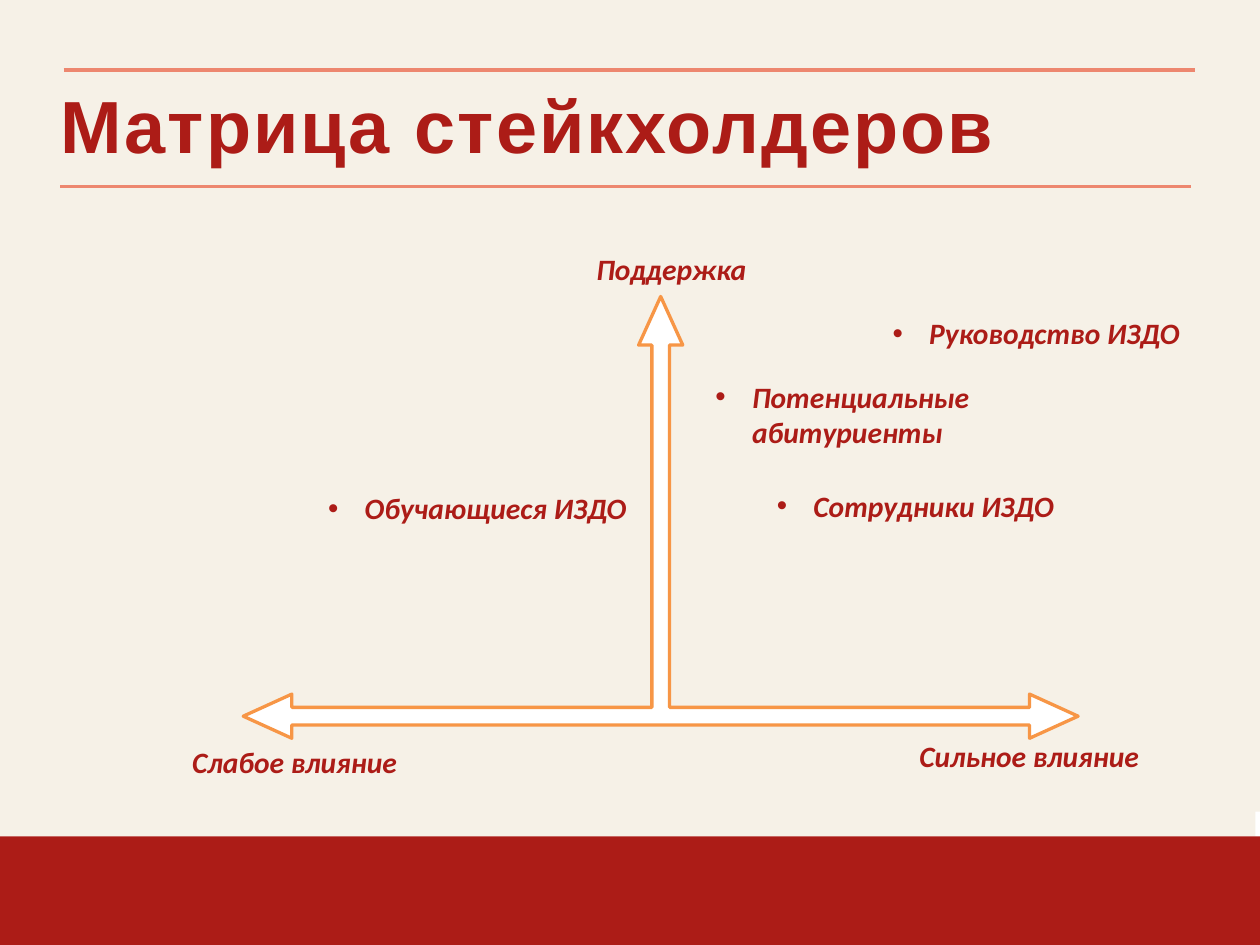
import dataclasses

import lxml.etree
import pptx
import pptx.dml.color
import pptx.enum.shapes
import pptx.enum.text
import pptx.oxml.ns
import pptx.util

INK = {"red": "AC1C17", "cream": "F6F1E7", "coral": "ED876F",
       "orange": "F79646", "white": "FFFFFF"}
WIDE, HIGH = pptx.util.Inches(10.67), pptx.util.Inches(8)
BODY = {"name": "Calibri", "size": pptx.util.Pt(18), "bold": True, "italic": True}
HEAD = {"name": "Arial", "size": pptx.util.Pt(45), "bold": True}
SHAPE = pptx.enum.shapes.MSO_SHAPE
ALIGN = pptx.enum.text.PP_ALIGN
FIT = pptx.enum.text.MSO_AUTO_SIZE


@dataclasses.dataclass
class Box:
    """Place and size in percent of the slide."""
    left: float
    top: float
    wide: float
    high: float

    def emu(self) -> tuple:
        return (round(self.left * WIDE / 100), round(self.top * HIGH / 100),
                round(self.wide * WIDE / 100), round(self.high * HIGH / 100))


@dataclasses.dataclass
class Note:
    text: str
    left: float
    top: float
    high: float = 5
    item: bool = True


def color(name: str):
    return pptx.dml.color.RGBColor.from_string(INK[name])


def style(font, form: dict) -> None:
    for key, value in form.items():
        setattr(font, key, value)
    font.color.rgb = color("red")


def add_shape(slide, kind, box: Box, fill: str):
    shape = slide.shapes.add_shape(kind, *box.emu())
    shape.shadow.inherit = False
    shape.fill.solid()
    shape.fill.fore_color.rgb = color(fill)
    shape.line.fill.background()
    return shape


def add_rule(slide, left: float, top: float) -> None:
    x, y, wide, _ = Box(left, top, 89.78, 0).emu()
    rule = slide.shapes.add_connector(
        pptx.enum.shapes.MSO_CONNECTOR.STRAIGHT, x, y, x + wide, y)
    rule.line.color.rgb = color("coral")
    rule.line.width = pptx.util.Pt(2.25)
    lxml.etree.SubElement(rule.element.spPr, pptx.oxml.ns.qn("a:effectLst"))


def add_note(slide, note: Note) -> None:
    wide = 26.15 if note.item else 30.46
    box = Box(note.left, note.top, wide, note.high)
    frame = slide.shapes.add_textbox(*box.emu()).text_frame
    frame.word_wrap = True
    frame.auto_size = FIT.SHAPE_TO_FIT_TEXT
    para = frame.paragraphs[0]
    run = para.add_run()
    run.text = note.text
    style(run.font, BODY)
    if note.item:
        props = para._p.get_or_add_pPr()
        dent = pptx.util.Inches(0.31)
        props.set("marL", str(dent))
        props.set("indent", str(-dent))
        qn = pptx.oxml.ns.qn
        lxml.etree.SubElement(props, qn("a:buFont"), typeface="Arial")
        lxml.etree.SubElement(props, qn("a:buChar"), char="•")
    else:
        para.alignment = ALIGN.CENTER


def set_title(slide, text: str) -> None:
    title = slide.shapes.title
    title.left, title.top, title.width, title.height = Box(4.78, 9.13, 89.78, 8.75).emu()
    frame = title.text_frame
    form = {"margin_left": 0, "margin_right": 0, "margin_bottom": 0,
            "margin_top": pptx.util.Inches(0.03), "word_wrap": True,
            "auto_size": FIT.NONE,
            "vertical_anchor": pptx.enum.text.MSO_ANCHOR.TOP}
    for key, value in form.items():
        setattr(frame, key, value)
    para = frame.paragraphs[0]
    para.alignment = ALIGN.LEFT
    para.line_spacing = 0.9
    run = para.add_run()
    run.text = text
    style(run.font, HEAD)
    run._r.get_or_add_rPr().set("spc", "130")
    # Bring the title in front of the backdrop
    slide.shapes.element.append(title.element)


NOTES = [
    Note("Сильное влияние", 66.45, 77.5, item=False),
    Note("Слабое влияние", 8.15, 78.13, item=False),
    Note("Поддержка", 38.05, 26, item=False),
    Note("Руководство ИЗДО", 69.92, 32.75),
    Note("Потенциальные абитуриенты", 55.86, 39.5, high=8.88),
    Note("Сотрудники ИЗДО", 60.73, 51),
    Note("Обучающиеся ИЗДО", 25.12, 51.25),
]


def main() -> None:
    deck = pptx.Presentation()
    deck.slide_width, deck.slide_height = WIDE, HIGH
    slide = deck.slides.add_slide(deck.slide_layouts.get_by_name("Title Only"))

    # Backdrop and footer band
    for box, fill in ((Box(0, 0, 100, 85.88), "cream"),
                      (Box(0, 0, 99.63, 88.5), "cream"),
                      (Box(0, 88.5, 100, 11.5), "red")):
        add_shape(slide, SHAPE.RECTANGLE, box, fill)

    # Title between two rules
    add_rule(slide, 4.78, 19.75)
    add_rule(slide, 5.06, 7.38)
    set_title(slide, "Матрица стейкхолдеров")

    # Axes of the matrix
    axes = add_shape(slide, SHAPE.LEFT_RIGHT_UP_ARROW,
                     Box(19.31, 31.38, 66.26, 46.75), "white")
    axes.line.color.rgb = color("orange")
    axes.line.width = pptx.util.Pt(2)
    for spot, value in enumerate((0.04, 0.05, 0.11)):
        axes.adjustments[spot] = value

    # Axis labels and stakeholders
    for note in NOTES:
        add_note(slide, note)

    deck.save("out.pptx")


if __name__ == "__main__":
    main()
